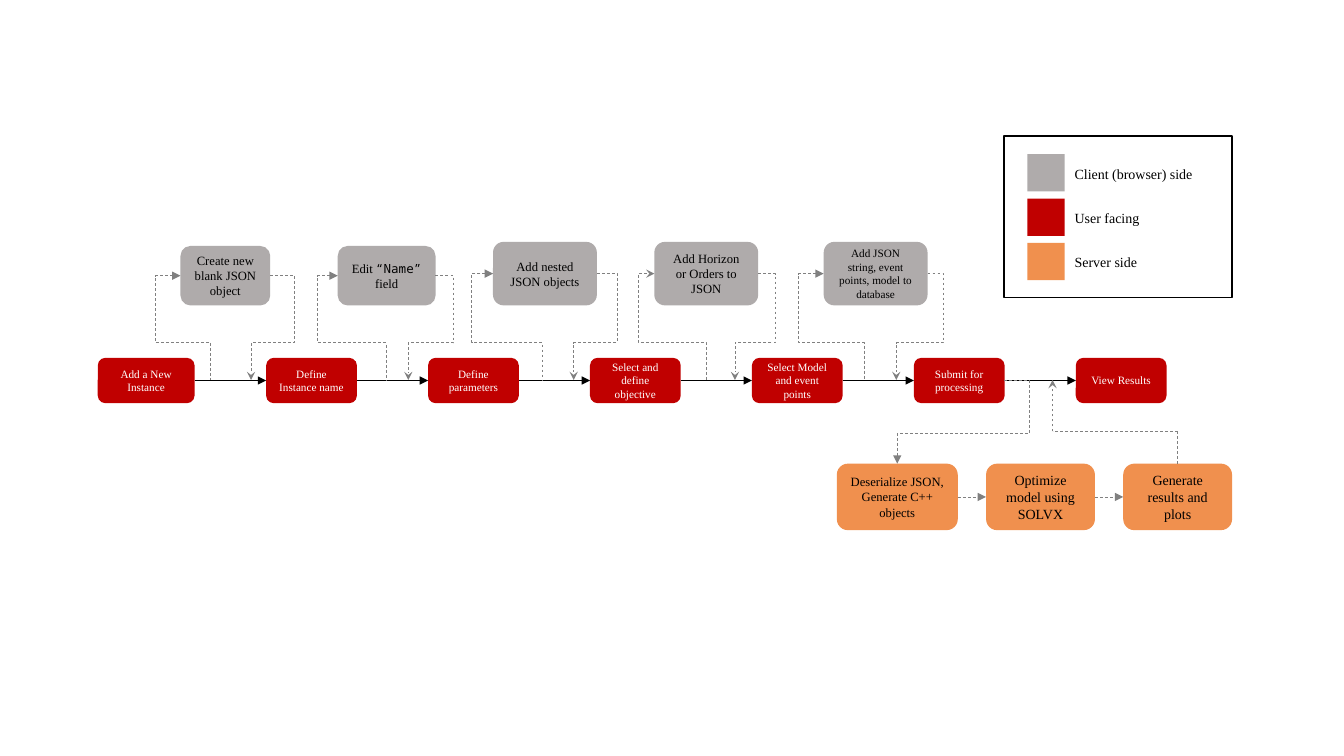
import pptx
import pptx.dml.color
import pptx.enum.dml
import pptx.enum.shapes
import pptx.enum.text
import pptx.oxml.ns
import pptx.util
from lxml import etree
from pptx.util import Inches

RGBColor = pptx.dml.color.RGBColor
BLACK = RGBColor(0x00, 0x00, 0x00)
WHITE = RGBColor(0xFF, 0xFF, 0xFF)
RED = RGBColor(0xC0, 0x00, 0x00)
GREY = RGBColor(0xAF, 0xAB, 0xAB)
ORANGE = RGBColor(0xF0, 0x90, 0x4E)
DASH_GREY = RGBColor(0x80, 0x80, 0x80)

SERIF = "Times New Roman"
MONO = "Noto Sans Mono"
SHAPE = pptx.enum.shapes.MSO_SHAPE
CONNECTOR = pptx.enum.shapes.MSO_CONNECTOR
LEFT_SITE, RIGHT_SITE = 1, 3

FLOW_Y = 3.77
BEND_Y = 3.4
CLIENT_BOTTOM = 3.03
SERVER_TOP = 4.6

USER_STEPS = [
    "Define Instance name", "Define parameters", "Select and define objective",
    "Select Model and event points", "Submit for processing", "View Results",
]

# left, top, width, text size, runs, (call x, left bend x, right bend x, return x), call arrowhead
CLIENT_STEPS = [
    (1.79, 2.44, 0.89, 9, [("Create new blank JSON object", SERIF)],
     (2.09, 1.54, 2.92, 2.49), "triangle"),
    (3.35, 2.44, 0.97, 9, [("Edit ", SERIF), ("“Name”", MONO), (" field", SERIF)],
     (3.83, 3.15, 4.5, 4.05), "triangle"),
    (4.89, 2.4, 1.03, 9, [("Add nested JSON objects", SERIF)],
     (5.38, 4.68, 6.12, 5.69), "triangle"),
    (6.49, 2.4, 1.03, 9, [("Add Horizon or Orders to JSON", SERIF)],
     (7.01, 6.33, 7.69, 7.29), "stealth"),
    (8.17, 2.4, 1.03, 8, [("Add JSON string, event points, model to database", SERIF)],
     (8.57, 7.92, 9.36, 8.89), "triangle"),
]

# left, width, text size, text
SERVER_STEPS = [
    (8.3, 1.2, 9, "Deserialize JSON, Generate C++ objects"),
    (9.78, 1.08, 10, "Optimize model using SOLVX"),
    (11.14, 1.08, 10, "Generate results and plots"),
]

LEGEND = [(GREY, "Client (browser) side", 1.39), (RED, "User facing", 1.01),
          (ORANGE, "Server side", 1.01)]


class FlowSlide:
    def __init__(self, page):
        self.page = page

    def add_text(self, frame, runs, size, color, align):
        frame.word_wrap = True
        para = frame.paragraphs[0]
        para.alignment = align
        for text, font in runs:
            span = para.add_run()
            span.text = text
            span.font.name = font
            span.font.size = pptx.util.Pt(size)
            span.font.color.rgb = color

    def rectangle(self, left, top, width, height, fill=None, kind=SHAPE.RECTANGLE):
        """A filled shape without outline, or an outlined one when fill is None."""
        box = self.page.shapes.add_shape(
            kind, Inches(left), Inches(top), Inches(width), Inches(height))
        box.shadow.inherit = False
        if fill is None:
            box.fill.background()
            box.line.color.rgb = BLACK
            box.line.width = pptx.util.Pt(1)
        else:
            box.fill.solid()
            box.fill.fore_color.rgb = fill
            box.line.fill.background()
        return box

    def step(self, left, top, width, height, fill, runs, size, color=BLACK):
        box = self.rectangle(left, top, width, height, fill, SHAPE.ROUNDED_RECTANGLE)
        box.text_frame.vertical_anchor = pptx.enum.text.MSO_ANCHOR.MIDDLE
        self.add_text(box.text_frame, runs, size, color, pptx.enum.text.PP_ALIGN.CENTER)
        return box

    def label(self, left, top, width, text):
        box = self.page.shapes.add_textbox(
            Inches(left), Inches(top), Inches(width), Inches(0.27))
        self.add_text(box.text_frame, [(text, SERIF)], 10, BLACK, pptx.enum.text.PP_ALIGN.LEFT)

    def line(self, start, end, head=None, tail=None, dashed=True, kind=CONNECTOR.STRAIGHT):
        link = self.page.shapes.add_connector(
            kind, *(Inches(value) for value in (*start, *end)))
        link.line.color.rgb = DASH_GREY if dashed else BLACK
        link.line.width = pptx.util.Pt(0.5 if dashed else 1)
        if dashed:
            link.line.dash_style = pptx.enum.dml.MSO_LINE.DASH
        properties = link._element.spPr
        outline = properties.find(pptx.oxml.ns.qn("a:ln"))
        for tag, arrow in (("a:headEnd", head), ("a:tailEnd", tail)):
            if arrow:
                etree.SubElement(outline, pptx.oxml.ns.qn(tag), type=arrow)
        etree.SubElement(properties, pptx.oxml.ns.qn("a:effectLst"))
        return link

    def bent(self, start, end, bend_x, bend_y, head=None, tail=None):
        """Run sideways to bend_x, vertically to bend_y, then back over to end."""
        link = self.line(start, end, head, tail, kind=CONNECTOR.ELBOW)
        geometry = link._element.spPr.find(pptx.oxml.ns.qn("a:prstGeom"))
        geometry.set("prst", "bentConnector4")
        guides = geometry.find(pptx.oxml.ns.qn("a:avLst"))
        ratios = ((bend_x - start[0]) / (end[0] - start[0]),
                  (bend_y - start[1]) / (end[1] - start[1]))
        for number, ratio in enumerate(ratios, 1):
            etree.SubElement(guides, pptx.oxml.ns.qn("a:gd"), name=f"adj{number}",
                             fmla=f"val {round(ratio * 100000)}")

    def chain(self, boxes, dashed):
        for before, after in zip(boxes, boxes[1:]):
            link = self.line((0, 0), (1, 1), tail="triangle", dashed=dashed)
            link.begin_connect(before, RIGHT_SITE)
            link.end_connect(after, LEFT_SITE)

    def user_row(self):
        boxes = [self.step(0.97, 3.55, 0.96, 0.45, RED, [("Add a New Instance", SERIF)], 8, WHITE)]
        pitch = (10.67 - 2.64) / (len(USER_STEPS) - 1)
        for index, text in enumerate(USER_STEPS):
            boxes.append(self.step(2.64 + index * pitch, 3.55, 0.9, 0.45, RED,
                                   [(text, SERIF)], 8, WHITE))
        self.chain(boxes, dashed=False)

    def client_row(self):
        for left, top, width, size, runs, bends, arrow in CLIENT_STEPS:
            height = CLIENT_BOTTOM - top
            middle = top + height / 2
            call_x, left_x, right_x, return_x = bends
            self.step(left, top, width, height, GREY, runs, size)
            self.bent((left, middle), (call_x, FLOW_Y), left_x, BEND_Y, head=arrow)
            self.bent((left + width, middle), (return_x, FLOW_Y), right_x, BEND_Y, tail="stealth")

    def server_row(self):
        boxes = [self.step(left, SERVER_TOP, width, 0.66, ORANGE, [(text, SERIF)], size)
                 for left, width, size, text in SERVER_STEPS]
        self.chain(boxes, dashed=True)
        self.bent((9.96, FLOW_Y), (8.9, SERVER_TOP), 10.21, 4.3, tail="triangle")
        self.line((11.68, SERVER_TOP), (11.68, 4.28))
        self.line((11.68, 4.28), (10.44, 4.28))
        self.line((10.44, 4.28), (10.44, FLOW_Y), tail="stealth")

    def legend(self):
        self.rectangle(9.96, 1.35, 2.26, 1.6)
        for index, (color, text, width) in enumerate(LEGEND):
            top = 1.53 + index * 0.44
            self.rectangle(10.19, top, 0.37, 0.37, color)
            self.label(10.56, top + 0.06, width, text)


def main():
    deck = pptx.Presentation()
    deck.slide_width = Inches(13.33)
    deck.slide_height = Inches(7.5)
    flow = FlowSlide(deck.slides.add_slide(deck.slide_layouts[6]))
    flow.legend()
    flow.user_row()
    flow.client_row()
    flow.server_row()
    deck.save("out.pptx")


if __name__ == "__main__":
    main()
